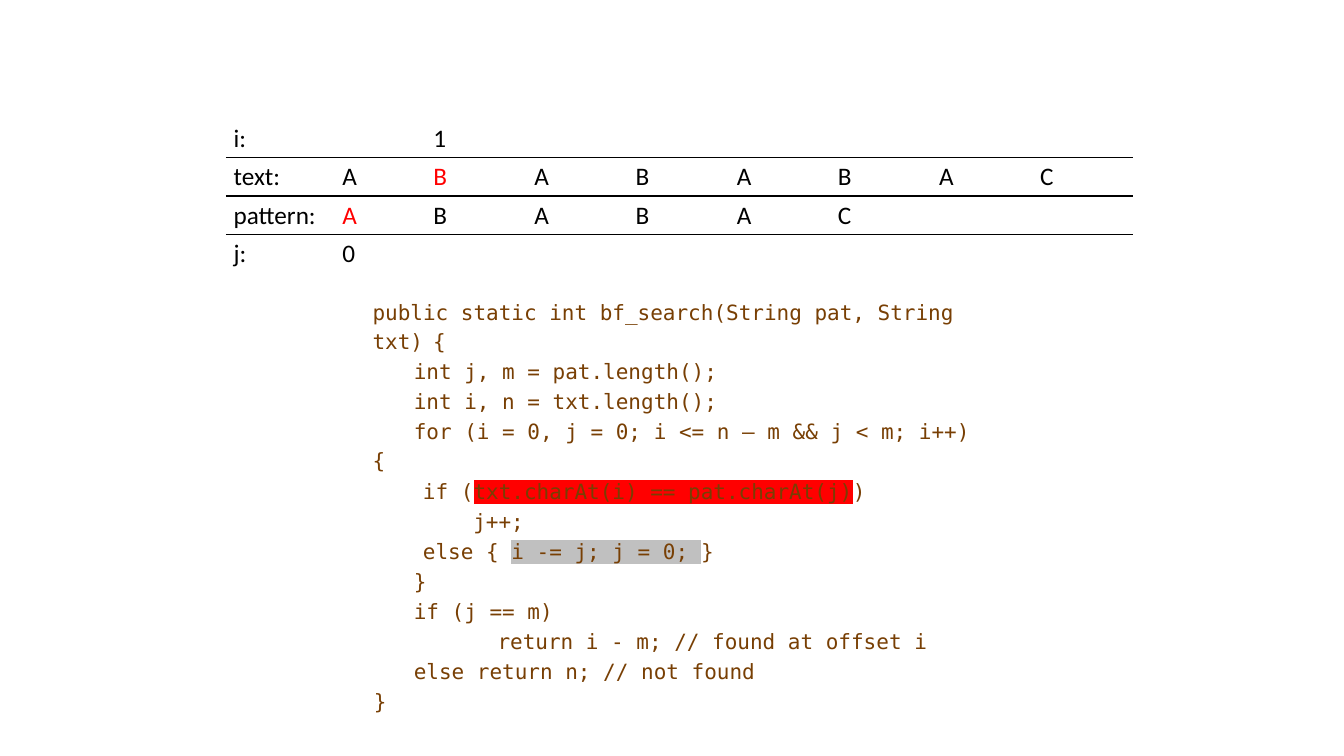
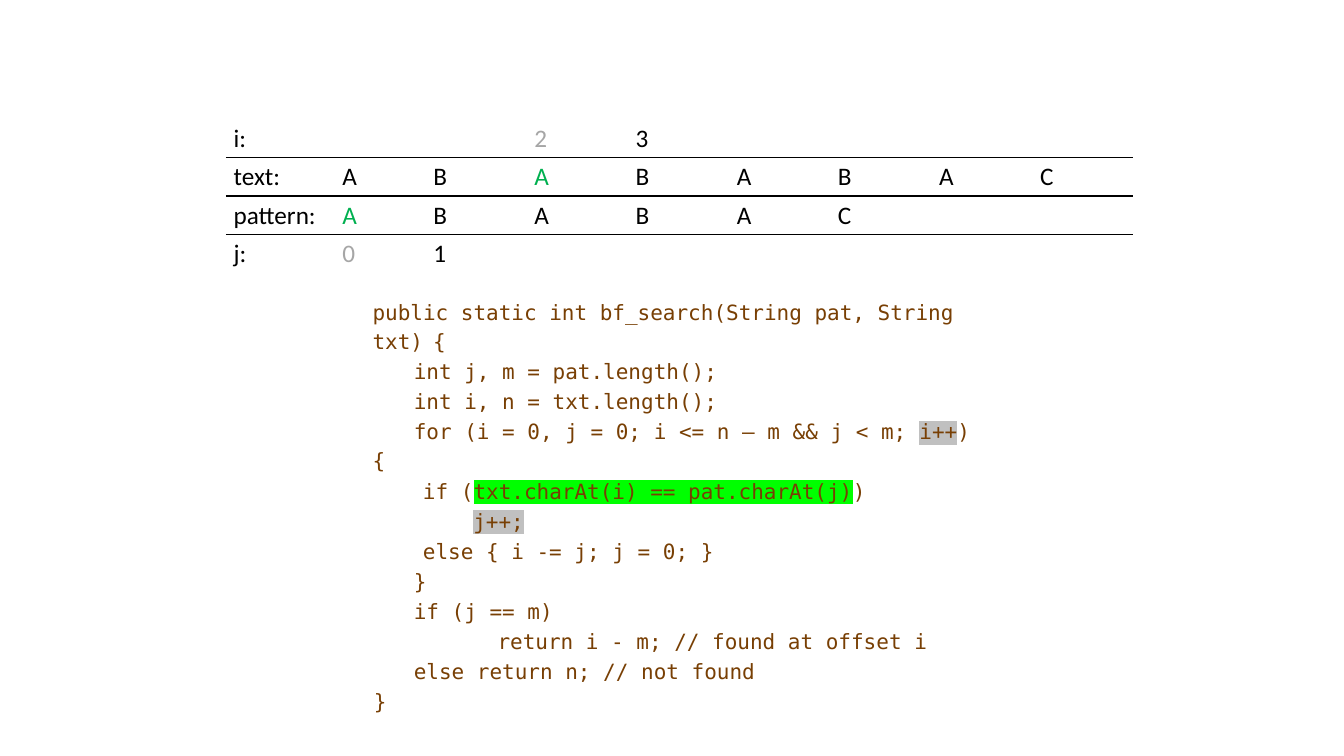
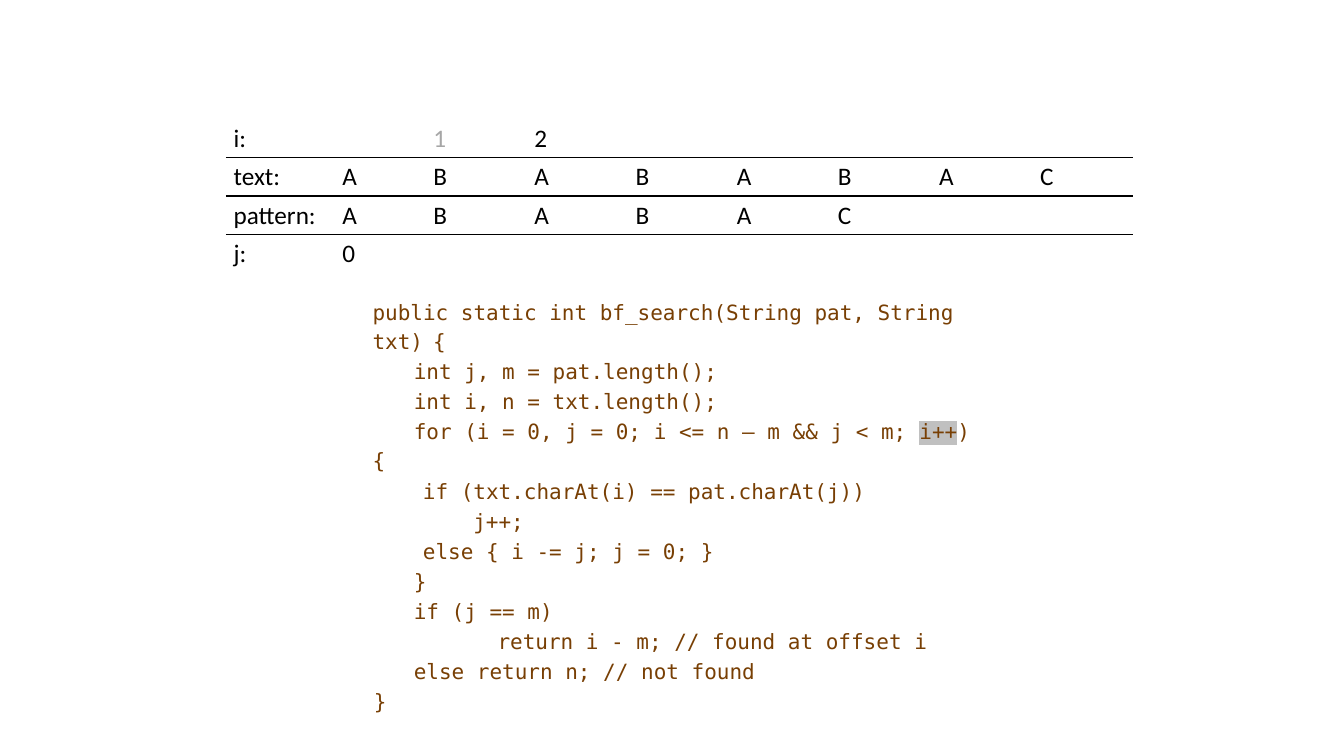
from lxml.etree import SubElement
from pptx import Presentation
from pptx.dml.color import RGBColor
from pptx.oxml.ns import qn
from pptx.util import Cm, Pt

COLOURS = {
    "ink": "000000",
    "past": "A6A6A6",
    "hit": "00B050",
    "miss": "FF0000",
    "code": "783F04",
    "hit_mark": "00FF00",
    "miss_mark": "FF0000",
    "step_mark": "C0C0C0",
}
TEXT, PATTERN = "ABABABAC", "ABABAC"
COLUMN_WIDTHS = [2.74, 2.29] + [2.55] * 7
ROW_HEIGHT = 0.97
TRACE_BOX = (5.69, 3)
CODE_BOX = (9.19, 7.26, 15.82, 9.42)
TAB_STOPS = (1.91, 3.81)

CODE_LINES = [
    (0, 0, "public static int bf_search(String pat, String txt) {"),
    (0, 1.04, "int j, m = pat.length();"),
    (0, 1.04, "int i, n = txt.length();"),
    (0, 1.04, "for (i = 0, j = 0; i <= n – m && j < m; i++) {"),
    (0, 1.04, "\tif (txt.charAt(i) == pat.charAt(j))"),
    (0, 1.04, "\t\tj++;"),
    (0, 1.04, "\telse { i -= j; j = 0; }"),
    (0, 1.04, "}"),
    (0, 1.04, "if (j == m)"),
    (2.11, 1.04, "return i - m; // found at offset i"),
    (0, 1.04, "else return n; // not found"),
    (0, 0.03, "}"),
]
COMPARE, ADVANCE = "txt.charAt(i) == pat.charAt(j)", "i++"
EXTEND, RESET = "j++;", "i -= j; j = 0; "

STEPS = [
    {"i": [1], "j": [0], "verdict": "miss",
     "marks": {COMPARE: "miss_mark", RESET: "step_mark"}},
    {"i": [2, 3], "j": [0, 1], "verdict": "hit",
     "marks": {ADVANCE: "step_mark", COMPARE: "hit_mark", EXTEND: "step_mark"}},
    {"i": [1, 2], "j": [0], "verdict": "ink",
     "marks": {ADVANCE: "step_mark"}},
]


def add_run(paragraph, text, size, font_name, colour, mark=None):
    run = paragraph.add_run()
    run.text = text
    run.font.size = Pt(size)
    run.font.name = font_name
    run.font.color.rgb = RGBColor.from_string(COLOURS[colour])
    if mark:
        properties = run.font._element
        highlight = SubElement(properties, qn("a:highlight"))
        SubElement(highlight, qn("a:srgbClr"), val=COLOURS[mark])
        properties.find(qn("a:solidFill")).addnext(highlight)


def split_marks(line, marks):
    for phrase, mark in marks.items():
        before, found, after = line.partition(phrase)
        if found:
            return [(before, None), (phrase, mark), (after, None)]
    return [(line, None)]


def add_code(slide, box, marks):
    listing = slide.shapes.add_textbox(*map(Cm, box)).text_frame
    listing.word_wrap = True
    listing.margin_left = listing.margin_right = Cm(0.2)
    listing.margin_top = listing.margin_bottom = Cm(0.2)
    for number, (margin, indent, line) in enumerate(CODE_LINES):
        paragraph = listing.add_paragraph() if number else listing.paragraphs[0]
        properties = paragraph._p.get_or_add_pPr()
        properties.set("marL", str(Cm(margin)))
        properties.set("indent", str(Cm(indent)))
        stops = SubElement(properties, qn("a:tabLst"))
        for stop in TAB_STOPS:
            SubElement(stops, qn("a:tab"), pos=str(Cm(stop)), algn="l")
        paragraph.line_spacing = 1.15
        if number:
            paragraph.space_before = Pt(0.8)
        opens_block = line.endswith(") {")
        pieces = split_marks(line.removesuffix(" {") if opens_block else line, marks)
        for text, mark in pieces:
            if text:
                add_run(paragraph, text, 15, "DejaVu Sans Mono", "code", mark)
        if opens_block:
            add_run(paragraph, " ", 12, "DejaVu Sans Mono", "code")
            add_run(paragraph, "{", 15, "DejaVu Sans Mono", "code")


def set_borders(cell, ruled_sides):
    properties = cell._tc.get_or_add_tcPr()
    for side in "LRTB":
        border = SubElement(properties, qn(f"a:ln{side}"), w=str(Pt(1)))
        if side in ruled_sides:
            fill = SubElement(border, qn("a:solidFill"))
            SubElement(fill, qn("a:srgbClr"), val=COLOURS["ink"])
        else:
            SubElement(border, qn("a:noFill"))


def trace_rows(step):
    def cursor(positions):
        return {p: (str(p), "ink" if p == positions[-1] else "past") for p in positions}

    def letters(word, compared):
        return {p: (letter, step["verdict"] if p == compared else "ink")
                for p, letter in enumerate(word)}

    return [
        ("i:", cursor(step["i"])),
        ("text:", letters(TEXT, step["i"][0])),
        ("pattern:", letters(PATTERN, step["j"][0])),
        ("j:", cursor(step["j"])),
    ]


def add_trace(slide, box, step):
    rows = trace_rows(step)
    left, top = box
    trace = slide.shapes.add_table(
        len(rows), len(COLUMN_WIDTHS), Cm(left), Cm(top),
        Cm(sum(COLUMN_WIDTHS)), Cm(ROW_HEIGHT * len(rows))).table
    trace.first_row = trace.horz_banding = False
    for column, width in zip(trace.columns, COLUMN_WIDTHS):
        column.width = Cm(width)
    for r, (label, entries) in enumerate(rows):
        trace.rows[r].height = Cm(ROW_HEIGHT)
        ruled_sides = ("T" if r else "") + ("B" if r < len(rows) - 1 else "")
        for c in range(len(COLUMN_WIDTHS)):
            cell = trace.cell(r, c)
            cell.margin_left = cell.margin_right = Cm(0.2)
            cell.margin_top = cell.margin_bottom = Cm(0.1)
            set_borders(cell, ruled_sides)
            cell.fill.background()
            text, colour = entries.get(c - 1, ("", "ink")) if c else (label, "ink")
            if text:
                add_run(cell.text_frame.paragraphs[0], text, 18, "Calibri", colour)


def main():
    deck = Presentation()
    deck.slide_width, deck.slide_height = Cm(33.87), Cm(19.05)
    for step in STEPS:
        slide = deck.slides.add_slide(deck.slide_layouts[6])
        add_code(slide, CODE_BOX, step["marks"])
        add_trace(slide, TRACE_BOX, step)
    deck.save("out.pptx")


if __name__ == "__main__":
    main()
